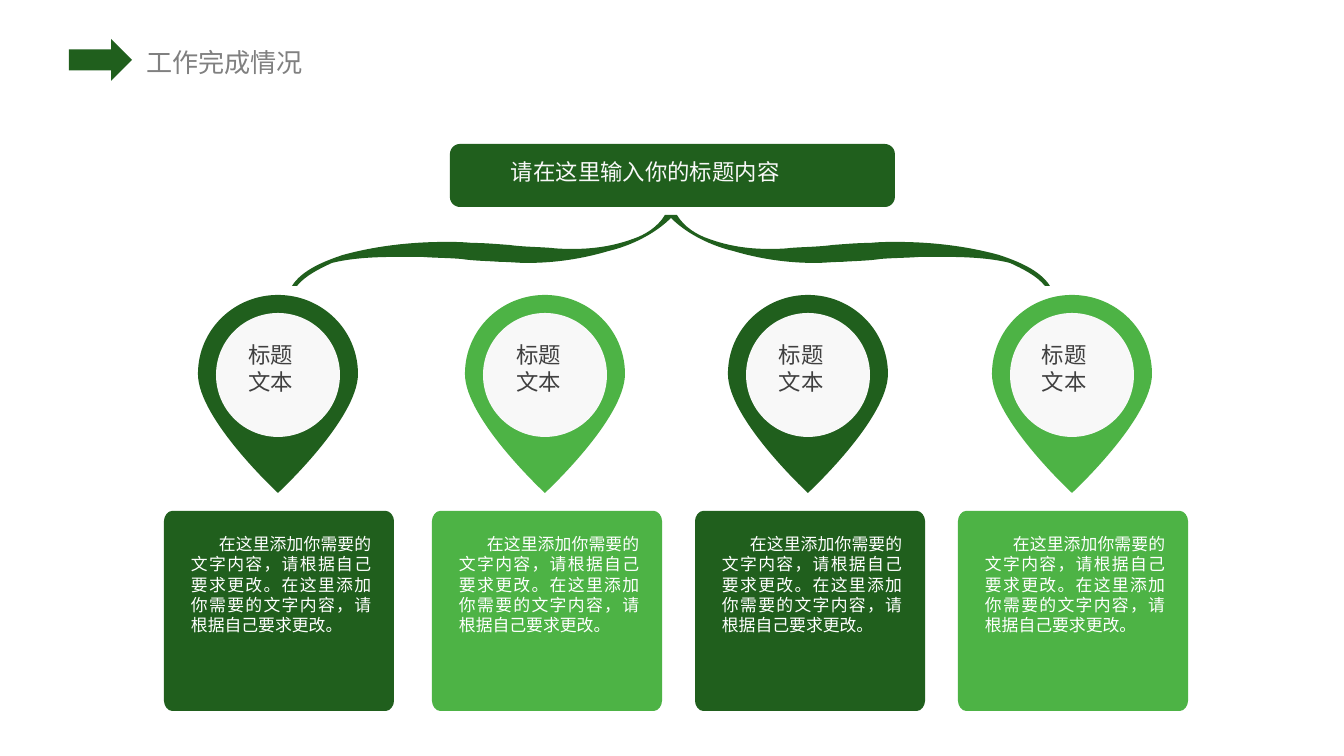
"""Build a slide with a heading, a forked ribbon and four pins above text cards."""
import pptx
import pptx.dml.color
import pptx.enum.shapes
import pptx.enum.text
import pptx.oxml.ns
import pptx.util
from lxml import etree

DARK, LIGHT, PALE = "205F1D", "4DB345", "F8F8F8"
FACE = "Noto Sans CJK SC"
HEAD = "工作完成情况"
TITLE = "请在这里输入你的标题内容"
LABEL = ["标题", "文本"]
BODY = "在这里添加你需要的文字内容，请根据自己要求更改。在这里添加你需要的文字内容，请根据自己要求更改。"
CARDS = [
    (164, 198, DARK, LABEL, BODY),
    (432, 465, LIGHT, LABEL, BODY),
    (695, 728, DARK, LABEL, BODY),
    (958, 992, LIGHT, LABEL, BODY),
]
AXIS = 671
UPPER = [
    (665, 215), (658, 227), (645, 235), (633, 239), (614, 246), (594, 249), (574, 249),
    (566, 249), (559, 249), (551, 248), (538, 247), (523, 247), (509, 245),
    (495, 244), (484, 243), (472, 243), (462, 242), (454, 242), (446, 242),
    (411, 242), (376, 246), (343, 255), (325, 261), (302, 270), (292, 286),
]
LOWER = [
    (297, 286), (305, 276), (319, 269), (332, 263), (352, 258), (376, 257), (398, 257),
    (406, 257), (414, 257), (422, 257), (435, 258), (449, 258), (461, 259),
    (474, 261), (488, 261), (501, 262), (511, 262), (517, 263), (527, 263),
    (555, 263), (582, 259), (609, 251), (630, 246), (653, 235), (669, 220),
]
PIN = [
    (0, 79), (0, 124), (80, 198), (80, 198), (80, 198), (160, 124), (160, 79),
    (160, 35), (124, 0), (80, 0), (36, 0), (0, 35), (0, 79),
]
PANEL = [
    [(222, 0), (226, 0), (230, 5), (230, 10)],
    [(230, 190), (230, 195), (226, 200), (222, 200)],
    [(8, 200), (4, 200), (0, 195), (0, 190)],
    [(0, 10), (0, 5), (4, 0), (8, 0)],
]
SHAPE = pptx.enum.shapes.MSO_SHAPE
ALIGN = pptx.enum.text.PP_ALIGN


def px(n):
    return pptx.util.Emu(round(n * 914400 / 134.4))


def tint(code):
    return pptx.dml.color.RGBColor.from_string(code)


def paint(shape, color):
    shape.shadow.inherit = False
    shape.fill.solid()
    shape.fill.fore_color.rgb = tint(color)
    shape.line.fill.background()


def block(kind, box, color, curve=0):
    shape = slide.shapes.add_shape(kind, *map(px, box))
    paint(shape, color)
    if curve:
        shape.adjustments[0] = round(curve / min(box[2:]), 2)


def flip(knots):
    return [(2 * AXIS - x, y) for x, y in reversed(knots)]


def outline(runs, color, left=0, top=0):
    spots = [(px(x + left), px(y + top)) for run in runs for x, y in run]
    form = slide.shapes.build_freeform(*spots[0], scale=1.0)
    form.add_line_segments(spots[1:], close=True)
    shape = form.convert_to_shape()
    paint(shape, color)
    trace = shape._element.find(".//" + pptx.oxml.ns.qn("a:path"))
    nodes = list(trace)
    at = 0
    for run in runs:
        at += 1
        for _ in range(len(run) // 3):
            bend = etree.Element(pptx.oxml.ns.qn("a:cubicBezTo"))
            nodes[at].addprevious(bend)
            for node in nodes[at:at + 3]:
                bend.append(node[0])
                trace.remove(node)
            at += 3


def write(lines, box, size, color, pad, wrap=False, align=ALIGN.LEFT, indent=0):
    frame = slide.shapes.add_textbox(*map(px, box)).text_frame
    form = {
        "word_wrap": wrap,
        "auto_size": pptx.enum.text.MSO_AUTO_SIZE.SHAPE_TO_FIT_TEXT,
        "margin_left": px(pad[0]), "margin_right": px(pad[0]),
        "margin_top": px(pad[1]), "margin_bottom": px(pad[1]),
    }
    for key, value in form.items():
        setattr(frame, key, value)
    for i, line in enumerate(lines):
        para = frame.add_paragraph() if i else frame.paragraphs[0]
        para.alignment = align
        if indent:
            para._p.get_or_add_pPr().set("indent", str(px(indent)))
        run = para.add_run()
        run.text = line
        for key, value in {"size": pptx.util.Pt(size), "name": FACE}.items():
            setattr(run.font, key, value)
        run.font.color.rgb = tint(color)
        east = etree.SubElement(run._r.get_or_add_rPr(), pptx.oxml.ns.qn("a:ea"))
        east.set("typeface", FACE)


deck = pptx.Presentation()
deck.slide_width, deck.slide_height = px(1344), px(756)
slide = deck.slides.add_slide(deck.slide_layouts[6])

write([HEAD], (132, 39, 188, 46), 14, "808080", (14, 7))
block(SHAPE.RIGHT_ARROW, (69, 39, 63, 42), DARK)

outline([UPPER, LOWER, [(AXIS, 218)], flip(LOWER), flip(UPPER)], DARK)

block(SHAPE.ROUNDED_RECTANGLE, (450, 144, 445, 63), DARK, 10)
write([TITLE], (498, 151, 298, 40), 12, PALE, (13, 7))

for left, pin, color, label, body in CARDS:
    outline([PIN], color, pin, 295)
    block(SHAPE.OVAL, (pin + 18, 313, 124, 124), PALE)
    write(label, (left + 75, 336, 66, 65), 12, "404040", (9, 5))
    outline(PANEL, color, left, 511)
    write([body], (left + 16, 529, 202, 113), 9, "FFFFFF", (11, 5), True, ALIGN.JUSTIFY, 28)

deck.save("out.pptx")
